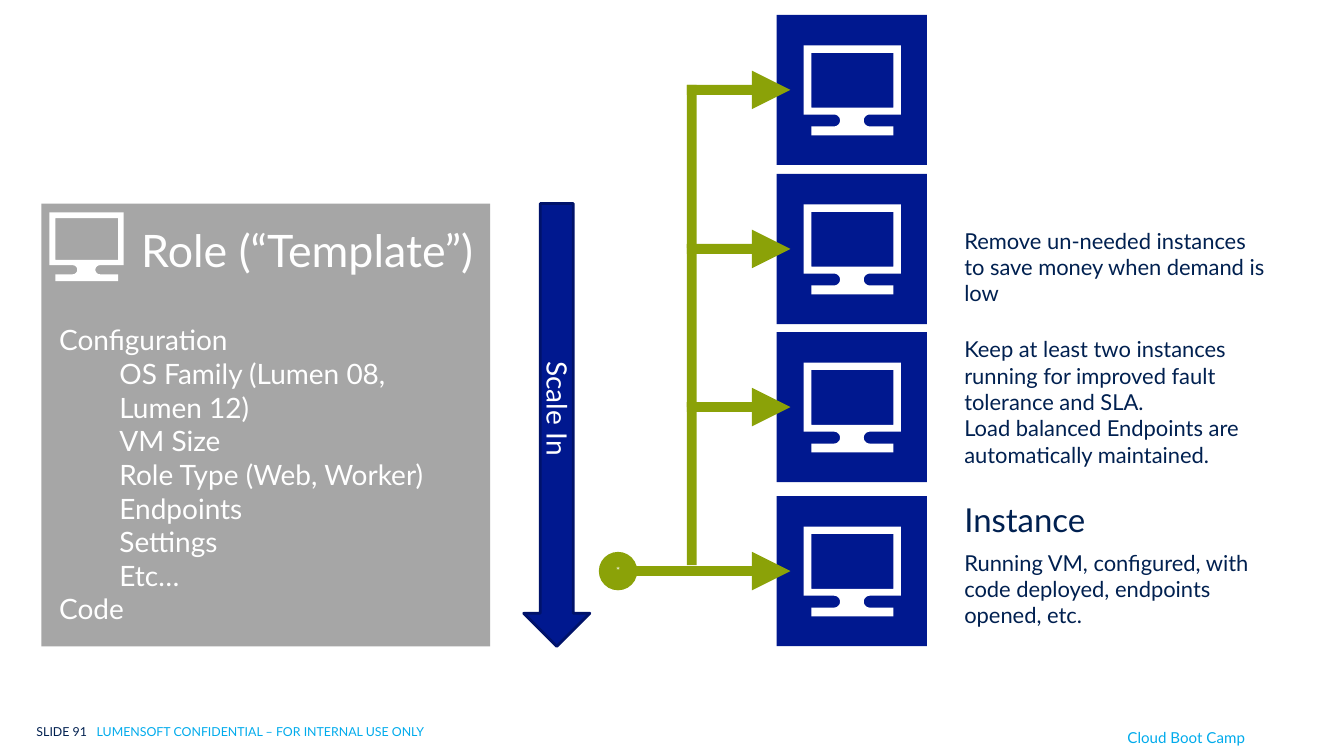
"""Build the slide on scaling in the instances of a cloud role."""
import math

import lxml.etree
import pptx
import pptx.dml.color
import pptx.enum.shapes
import pptx.enum.text
import pptx.oxml.ns
import pptx.util

Pt = pptx.util.Pt
KIND = pptx.enum.shapes.MSO_SHAPE
CENTER = pptx.enum.text.PP_ALIGN.CENTER

FONT = "Lato"
COLORS = {
    "navy": "002050", "sky": "00ABEC", "gray": "A6A6A6", "white": "FFFFFF",
    "blue": "00188F", "edge": "00126A", "green": "8BA208",
}

FOOTER = [("SLIDE 91\t", "navy"), ("LUMENSOFT CONFIDENTIAL – FOR INTERNAL USE ONLY", "sky")]
EVENT = "Cloud Boot Camp"
ROLE_TITLE = "Role (“Template”)"
ROLE_PARTS = [
    ("Configuration", 0),
    ("OS Family (Lumen 08, Lumen 12)", 1),
    ("VM Size", 1),
    ("Role Type (Web, Worker)", 1),
    ("Endpoints", 1),
    ("Settings", 1),
    ("Etc…", 1),
    ("Code", 0),
]
SCALE_LABEL = "Scale In"
HUB_MARK = "*"
INSTANCE_TOPS = [10.8, 126.7, 241.9, 361.4]
NOTES = [
    (162, 65.5, 16, "Remove un-needed instances to save money when demand is low"),
    (241.2, 104.4, 16, "Keep at least two instances running for improved fault tolerance and SLA.\v"
                       "Load balanced Endpoints are automatically maintained."),
    (360.7, 36, 24, "Instance"),
    (396.7, 65.5, 16, "Running VM, configured, with code deployed, endpoints opened, etc."),
]

TILE_LEFT, TILE_SIZE = 565.9, 109.4
NOTE_LEFT, NOTE_WIDTH = 695.5, 233.3
BAR, HEAD = 7.2, 28
TRUNK_LEFT, TRUNK_STEP = 500.4, 118.8
HEAD_LEFT, HUB_LEFT = 547.9, 436.3
BAR_END = 563.8
ROLE_TOP, ROLE_HEIGHT = 148.3, 322.6

prs = pptx.Presentation()
prs.slide_width, prs.slide_height = Pt(979.2), Pt(550.8)
slide = prs.slides.add_slide(prs.slide_layouts[6])


def rgb(name):
    return pptx.dml.color.RGBColor.from_string(COLORS[name])


def paint(shape, fill):
    shape.shadow.inherit = False
    shape.fill.solid()
    shape.fill.fore_color.rgb = rgb(fill)
    shape.line.fill.background()
    return shape


def add_block(kind, left, top, width, height, fill):
    return paint(slide.shapes.add_shape(kind, Pt(left), Pt(top), Pt(width), Pt(height)), fill)


def set_font(font, size, color):
    font.name, font.size = FONT, Pt(size)
    font.color.rgb = rgb(color)


def add_text(left, top, width, height, lines, size, color):
    box = slide.shapes.add_textbox(Pt(left), Pt(top), Pt(width), Pt(height))
    frame = box.text_frame
    frame.word_wrap = True
    frame.text = "\n".join(lines)
    for paragraph in frame.paragraphs:
        set_font(paragraph.font, size, color)
    return box


def add_computer(left, top, unit):
    def notch(center, side):
        angles = [math.pi * step / 12 for step in range(13)]
        return [(center + side * 6 * math.sin(a), 76 - 6 * math.cos(a)) for a in angles]

    outline = [(0, 0), (98.5, 0), (98.5, 70), *notch(67, -1), (91, 82), (91, 91),
               (8, 91), (8, 82), *reversed(notch(31, 1)), (0, 70)]
    screen = [(8, 7.5), (8, 63), (91, 63), (91, 7.5)]
    tenths = [[(x * 10, y * 10) for x, y in part] for part in (outline, screen)]
    builder = slide.shapes.build_freeform(*tenths[0][0], scale=Pt(unit / 10))
    builder.add_line_segments(tenths[0][1:], close=True)
    builder.move_to(*tenths[1][0])
    builder.add_line_segments(tenths[1][1:], close=True)
    paint(builder.convert_to_shape(Pt(left), Pt(top)), "white")


footer = add_text(26.6, 524.2, 493.9, 23.8, [""], 9, "navy").text_frame
footer.margin_left, footer.margin_right = 0, Pt(14.4)
footer.margin_top = footer.margin_bottom = Pt(11.5)
footer_line = footer.paragraphs[0]
footer_line.line_spacing = 0.9
tabs = lxml.etree.Element(pptx.oxml.ns.qn("a:tabLst"))
lxml.etree.SubElement(tabs, pptx.oxml.ns.qn("a:tab"), pos=str(Pt(43.9)), algn="l")
footer_line._p.get_or_add_pPr().find(pptx.oxml.ns.qn("a:lnSpc")).addnext(tabs)
for words, color in FOOTER:
    run = footer_line.add_run()
    run.text = words
    set_font(run.font, 9, color)

event = add_text(814.3, 524.2, 113.8, 28, [EVENT], 11, "sky").text_frame
event.margin_top = event.margin_bottom = Pt(7.2)

add_block(KIND.RECTANGLE, 30.2, ROLE_TOP, 326.9, ROLE_HEIGHT, "gray")
add_computer(36, 154.8, 0.55)
add_text(95.8, 158.4, 262.1, 87.8, [ROLE_TITLE], 32.6, "white")
role = add_text(36, 231.8, 308.9, 262.1, [name for name, _ in ROLE_PARTS], 20.4, "white")
for paragraph, (_, level) in zip(role.text_frame.paragraphs, ROLE_PARTS):
    if level:
        paragraph.level = level
        paragraph._p.get_or_add_pPr().set("marL", str(Pt(43.9)))

scale_arrow = add_block(KIND.DOWN_ARROW, 381.6, ROLE_TOP, 48.2, ROLE_HEIGHT, "blue")
scale_arrow.line.color.rgb = rgb("edge")
scale_arrow.line.width = Pt(2)
scale_label = add_text(256.3, 281.5, 299.5, 32.4, [SCALE_LABEL], 20.4, "white")
scale_label.rotation = 90
scale_label.text_frame.paragraphs[0].alignment = CENTER

for top in INSTANCE_TOPS:
    add_block(KIND.RECTANGLE, TILE_LEFT, top, TILE_SIZE, TILE_SIZE, "blue")
    add_computer(TILE_LEFT + 19.5, top + 22.3, 0.72)

for top, height, size, words in NOTES:
    add_text(NOTE_LEFT, top, NOTE_WIDTH, height, [words], size, "navy")

for top in INSTANCE_TOPS:
    middle = top + TILE_SIZE / 2
    is_source = top == INSTANCE_TOPS[-1]
    bar_left = HUB_LEFT + HEAD / 2 if is_source else TRUNK_LEFT
    add_block(KIND.RECTANGLE, bar_left, middle - BAR / 2, BAR_END - bar_left, BAR, "green")
    add_block(KIND.ISOSCELES_TRIANGLE, HEAD_LEFT, middle - HEAD / 2, HEAD, HEAD, "green").rotation = 90
    if not is_source:
        add_block(KIND.RECTANGLE, TRUNK_LEFT, middle - BAR / 2, BAR, TRUNK_STEP, "green")

hub_top = INSTANCE_TOPS[-1] + (TILE_SIZE - HEAD) / 2
hub = add_block(KIND.OVAL, HUB_LEFT, hub_top, HEAD, HEAD, "green").text_frame
hub.margin_left = hub.margin_top = hub.margin_right = hub.margin_bottom = 0
hub.vertical_anchor = pptx.enum.text.MSO_ANCHOR.MIDDLE
hub.text = HUB_MARK
hub.paragraphs[0].alignment = CENTER
set_font(hub.paragraphs[0].font, 7, "white")

prs.save("out.pptx")
